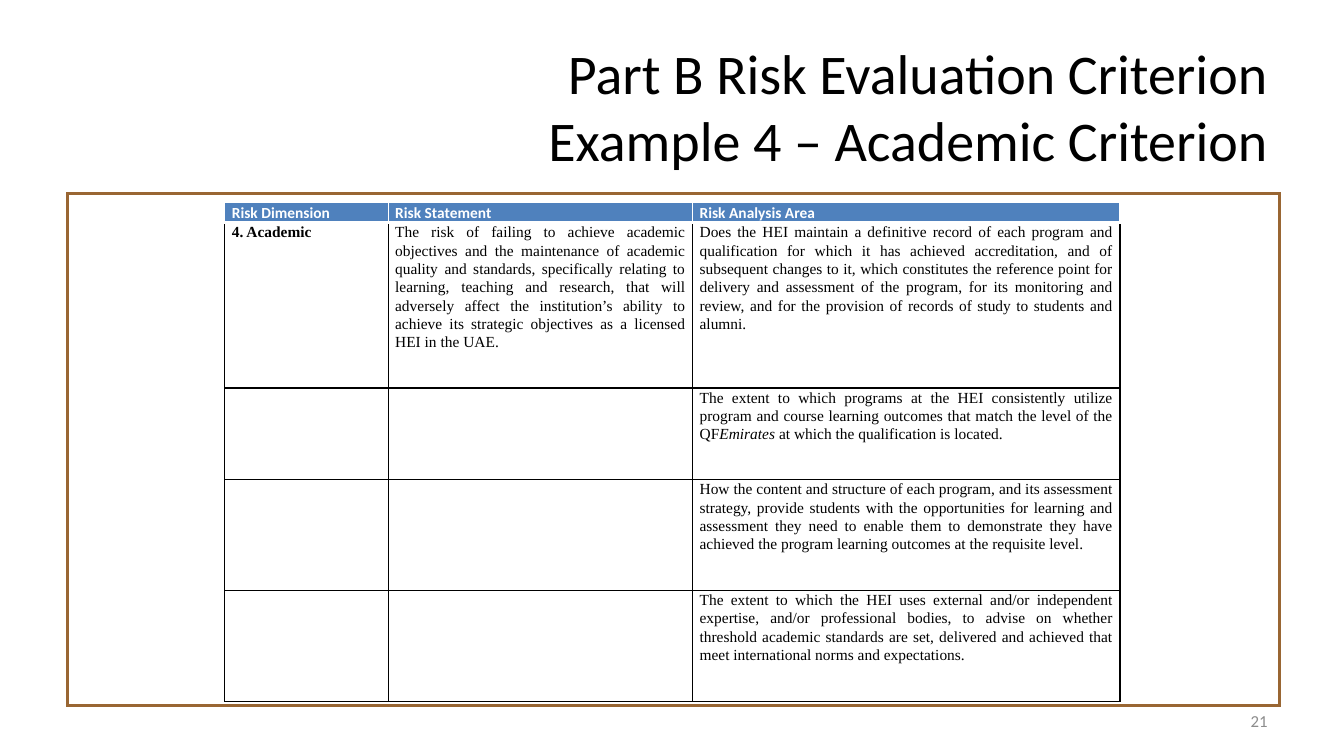
from lxml.etree import SubElement
from pptx import Presentation
from pptx.dml.color import RGBColor
from pptx.enum.text import MSO_ANCHOR, PP_ALIGN
from pptx.oxml.ns import qn
from pptx.util import Inches, Pt

BLACK = RGBColor(0x00, 0x00, 0x00)
WHITE = RGBColor(0xFF, 0xFF, 0xFF)
GREY = RGBColor(0x8C, 0x8C, 0x8C)
BLUE = RGBColor(0x4F, 0x81, 0xBD)
BROWN = RGBColor(0x99, 0x66, 0x33)

SANS = "Calibri"
SERIF = "Times New Roman"
COLUMNS = [1.62, 3.02, 4.24]
HEADINGS = ["Risk Dimension", "Risk Statement", "Risk Analysis Area"]
STATEMENT = (
    "The risk of failing to achieve academic objectives and the maintenance of "
    "academic quality and standards, specifically relating to learning, teaching "
    "and research, that will adversely affect the institution’s ability to achieve "
    "its strategic objectives as a licensed HEI in the UAE."
)
ANALYSIS_AREAS = [
    (1.64, [
        "Does the HEI maintain a definitive record of each program and qualification "
        "for which it has achieved accreditation, and of subsequent changes to it, "
        "which constitutes the reference point for delivery and assessment of the "
        "program, for its monitoring and review, and for the provision of records of "
        "study to students and alumni."]),
    (0.91, [
        "The extent to which programs at the HEI consistently utilize program and "
        "course learning outcomes that match the level of the QF",
        "Emirates",
        " at which the qualification is located. "]),
    (1.1, [
        "How the content and structure of each program, and its assessment strategy, "
        "provide students with the opportunities for learning and assessment they "
        "need to enable them to demonstrate they have achieved the program learning "
        "outcomes at the requisite level."]),
    (1.1, [
        "The extent to which the HEI uses external and/or independent expertise, "
        "and/or professional bodies, to advise on whether threshold academic "
        "standards are set, delivered and achieved that meet international norms "
        "and expectations."]),
]


def add_run(p, text, font, size, color, bold=False, italic=False):
    r = p.add_run()
    r.text = text
    r.font.name = font
    r.font.size = Pt(size)
    r.font.color.rgb = color
    r.font.bold = bold
    r.font.italic = italic


def set_borders(cell, color, widths):
    tc_pr = cell._tc.get_or_add_tcPr()
    for index, (side, width) in enumerate(zip(("lnL", "lnR", "lnT", "lnB"), widths)):
        ln = SubElement(tc_pr, qn(f"a:{side}"), w=str(Pt(width)))
        fill = SubElement(ln, qn("a:solidFill"))
        SubElement(fill, qn("a:srgbClr"), val=str(color))
        tc_pr.remove(ln)
        tc_pr.insert(index, ln)


def add_grid(s, left, top, columns, rows, border, widths, fill=None):
    frame = s.shapes.add_table(
        len(rows), len(columns), Inches(left), Inches(top),
        Inches(sum(columns)), Inches(sum(rows)))
    table = frame.table
    table.first_row = table.horz_banding = False
    for column, width in zip(table.columns, columns):
        column.width = Inches(width)
    for row, height in zip(table.rows, rows):
        row.height = Inches(height)
    for cell in table.iter_cells():
        cell.margin_left = cell.margin_right = Inches(0.07)
        cell.margin_top = cell.margin_bottom = 0
        if fill is None:
            cell.fill.background()
        else:
            cell.fill.solid()
            cell.fill.fore_color.rgb = fill
        set_borders(cell, border, widths)
    return table


def cell_paragraph(cell, align=PP_ALIGN.LEFT):
    p = cell.text_frame.paragraphs[0]
    p.alignment = align
    p.line_spacing = 1.07
    return p


def add_text_box(s, left, top, width, height, anchor):
    sp = s.shapes.add_textbox(Inches(left), Inches(top), Inches(width), Inches(height))
    tf = sp.text_frame
    tf.word_wrap = True
    tf.vertical_anchor = anchor
    p = tf.paragraphs[0]
    p.alignment = PP_ALIGN.RIGHT
    return tf, p


def add_title(s, left, top, width, height):
    tf, p = add_text_box(s, left, top, width, height, MSO_ANCHOR.TOP)
    tf.margin_top = Inches(0.08)
    add_run(p, "Part B Risk Evaluation Criterion", SANS, 40, BLACK)
    p.add_line_break()
    add_run(p, "Example 4 – Academic Criterion", SANS, 40, BLACK)


def add_page_number(s, left, top, width, height):
    tf, p = add_text_box(s, left, top, width, height, MSO_ANCHOR.MIDDLE)
    add_run(p, "21", SANS, 12, GREY)


def add_risk_body(s, left, top):
    heights = [height for height, texts in ANALYSIS_AREAS]
    table = add_grid(s, left, top, COLUMNS, heights, BLACK, [1] * 4)
    add_run(cell_paragraph(table.cell(0, 0)), "4. Academic", SERIF, 11, BLACK, bold=True)
    add_run(cell_paragraph(table.cell(0, 1), PP_ALIGN.JUSTIFY), STATEMENT, SERIF, 11, BLACK)
    for row, (height, texts) in enumerate(ANALYSIS_AREAS):
        p = cell_paragraph(table.cell(row, 2), PP_ALIGN.JUSTIFY)
        for text in texts:
            add_run(p, text, SERIF, 11, BLACK, italic=text == "Emirates")


def add_risk_header(s, left, top):
    table = add_grid(s, left, top, COLUMNS, [0.19], WHITE, [1, 1, 1, 3], BLUE)
    for cell, heading in zip(table.iter_cells(), HEADINGS):
        add_run(cell_paragraph(cell), heading, SANS, 11, WHITE, bold=True)


def main():
    prs = Presentation()
    prs.slide_width = Inches(13.33)
    prs.slide_height = Inches(7.5)
    s = prs.slides.add_slide(prs.slide_layouts[6])
    add_grid(s, 0.67, 1.92, [12.02], [5.08], BROWN, [2.25] * 4, WHITE)
    add_title(s, 0.67, 0.3, 12, 1.25)
    add_risk_body(s, 2.23, 2.21)
    add_page_number(s, 9.56, 6.95, 3.11, 0.4)
    add_risk_header(s, 2.23, 2.01)
    prs.save("out.pptx")


if __name__ == "__main__":
    main()
